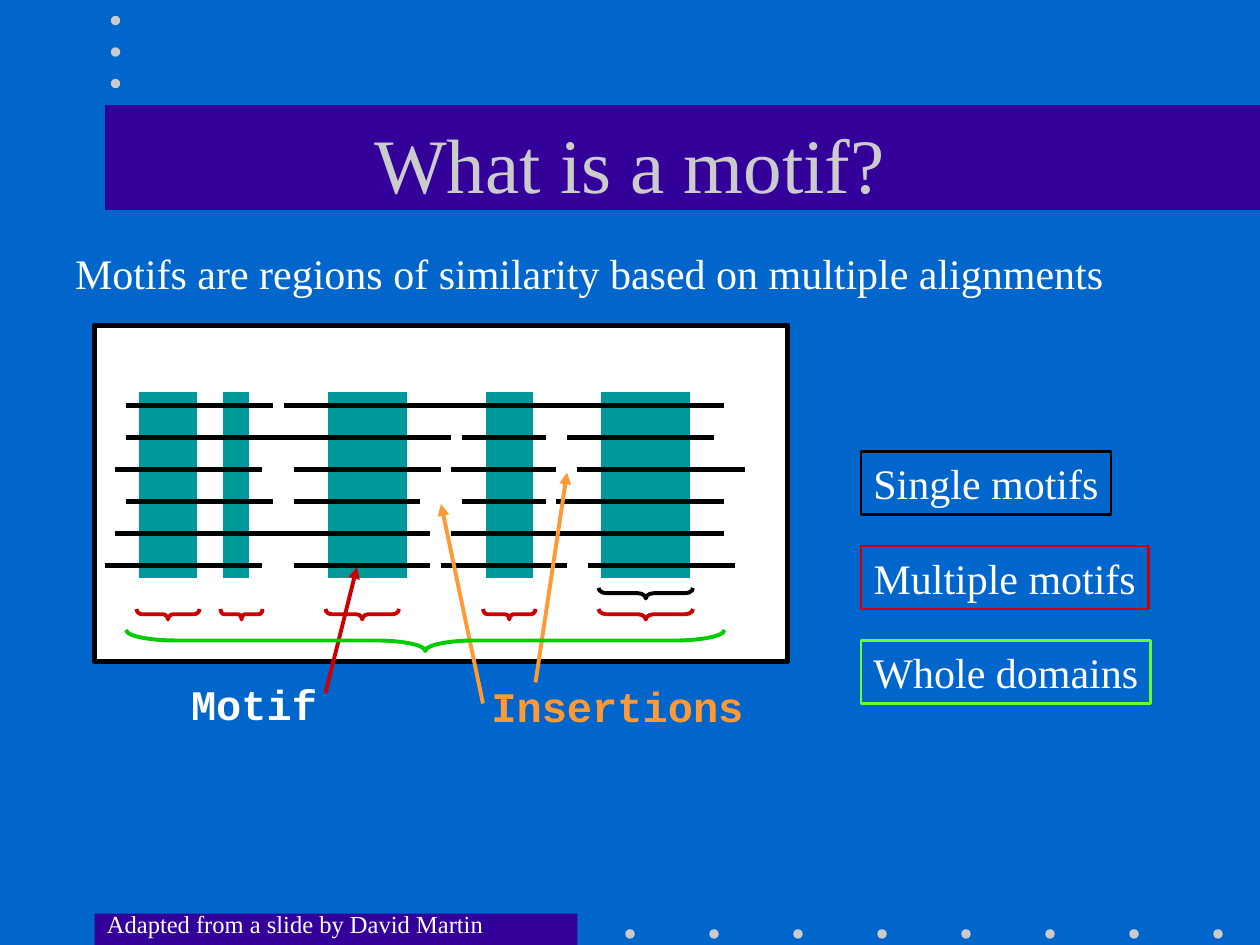
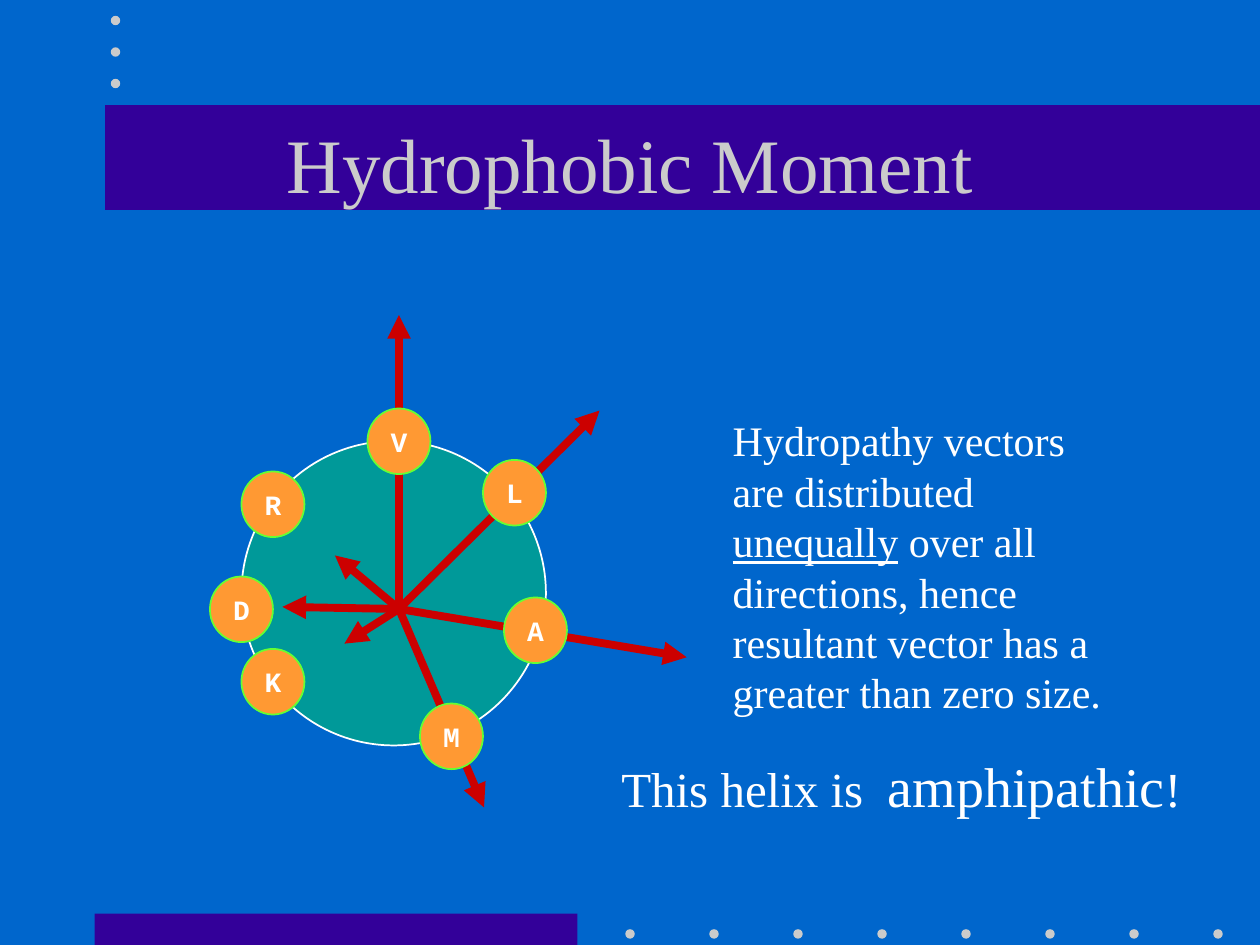
from lxml.etree import SubElement as add_node
from pptx import Presentation
from pptx.dml.color import RGBColor as Rgb
from pptx.enum.shapes import MSO_CONNECTOR as Link, MSO_SHAPE as Form
from pptx.enum.text import MSO_ANCHOR as Anchor, MSO_AUTO_SIZE as Fit, PP_ALIGN as Align
from pptx.oxml.ns import qn
from pptx.util import Cm, Pt

BLUE, PURPLE, GREY, TEAL = "0066CC", "330099", "CBCBCB", "009999"
WHITE, BLACK, RED, ORANGE = "FFFFFF", "000000", "CC0000", "FF9933"
GREEN, LIME = "00CC00", "66FF33"
SERIF, MONO = "Times New Roman", "Courier New"


def hue(code):
    return Rgb.from_string(code)


def cells(*counts):
    return [Cm(count * 2.54 / 12) for count in counts]


def write(shape, parts, size=24, font=SERIF, color=WHITE, bold=False,
          align=Align.LEFT, anchor=Anchor.TOP, wrap=True, side=0.25):
    frame = shape.text_frame
    frame.word_wrap = wrap
    frame.auto_size = Fit.NONE
    frame.vertical_anchor = anchor
    frame.margin_left = frame.margin_right = Cm(side)
    frame.margin_top = frame.margin_bottom = Cm(0.13)
    para = frame.paragraphs[0]
    para.alignment = align
    for words, extra in [(parts, {})] if isinstance(parts, str) else parts:
        run = para.add_run()
        run.text = words
        face = run.font
        face.name, face.bold = font, bold
        face.size = Pt(extra.get("size", size))
        face.underline = extra.get("under", False)
        face.color.rgb = hue(color)


class Deck:
    """Holds the shared style and the current slide, on a grid of 12 cells to 2.54 cm."""

    def __init__(self):
        self.show = Presentation()
        self.show.slide_width, self.show.slide_height = Cm(25.4), Cm(19.05)
        self.slide = None
        back = self.show.slide_master.background.fill
        back.solid()
        back.fore_color.rgb = hue(BLUE)

    def page(self, title):
        first = self.slide is None
        self.slide = self.show.slides.add_slide(self.show.slide_layouts[5])
        if first:
            self.dress()
        head = self.slide.shapes.title
        head.left, head.top, head.width, head.height = cells(9, 8, 102, 15)
        write(head, title, size=44, color=GREY, align=Align.CENTER, anchor=Anchor.MIDDLE)

    def dress(self):
        bars = [(9, 87, 46, 3), (10, 10, 110, 10)]
        dots = [(59.55 + 8 * i, 88.5) for i in range(8)]
        dots += [(10.55, 1.5 + 3 * i) for i in range(3)]
        parts = [self.shape(Form.RECTANGLE, bar, PURPLE) for bar in bars]
        parts += [self.shape(Form.OVAL, (*dot, 0.9, 0.9), GREY) for dot in dots]
        tree = self.show.slide_master.element.cSld.spTree
        for place, part in enumerate(parts, 2):
            tree.insert(place, part.element)

    def shape(self, form, box, fill=None, line=None, width=1):
        shape = self.slide.shapes.add_shape(form, *cells(*box))
        shape.shadow.inherit = False
        if fill:
            shape.fill.solid()
            shape.fill.fore_color.rgb = hue(fill)
        else:
            shape.fill.background()
        if line:
            shape.line.color.rgb = hue(line)
            shape.line.width = Pt(width)
        else:
            shape.line.fill.background()
        return shape

    def note(self, box, parts, **style):
        write(self.slide.shapes.add_textbox(*cells(*box)), parts, **style)

    def line(self, start, end, color=BLACK, width=3.0, arrow=False):
        link = self.slide.shapes.add_connector(Link.STRAIGHT, *cells(*start, *end))
        link.line.color.rgb = hue(color)
        link.line.width = Pt(width)
        if arrow:
            add_node(link.line._get_or_add_ln(), qn("a:tailEnd"), type="triangle")
        add_node(link.element.spPr, qn("a:effectLst"))

    def brace(self, left, right, top, color, depth=1):
        span = right - left
        box = ((left + right - depth) / 2, top + (depth - span) / 2, depth, span)
        brace = self.shape(Form.RIGHT_BRACE, box, line=color, width=2.25)
        brace.rotation = 90
        brace.adjustments[0] = span / 12 / depth

    def save(self):
        self.show.save("out.pptx")


def motif(deck):
    deck.page("What is a motif?")
    deck.shape(Form.RECTANGLE, (9, 31, 66, 32), WHITE, BLACK, 3)
    for left, width in [(13, 6), (21, 3), (31, 8), (46, 5), (57, 9)]:
        deck.shape(Form.RECTANGLE, (left, 37.1, width, 18.2), TEAL, WHITE, 3)

    rows = [
        [(12, 26), (27, 43), (43, 55), (55, 69)],
        [(12, 28), (28, 43), (44, 52), (54, 68)],
        [(11, 25), (28, 42), (43, 53), (55, 71)],
        [(12, 26), (28, 40), (44, 52), (53, 69)],
        [(11, 27), (27, 41), (43, 57), (55, 69)],
        [(10, 25), (28, 41), (42, 54), (56, 70)],
    ]
    for i, row in enumerate(rows):
        level = 38.6 + 3.05 * i
        for start, end in row:
            deck.line((start, level), (end, level))

    for start, end, color in [((46, 67), (42, 48), ORANGE),
                              ((51, 65), (54, 45), ORANGE),
                              ((31, 66), (34, 54), RED)]:
        deck.line(start, end, color, 2.25, arrow=True)
    mid = dict(align=Align.CENTER, anchor=Anchor.MIDDLE, wrap=False)
    deck.note((45.6, 64.2, 26.4, 6), "Insertions", font=MONO, color=ORANGE, bold=True, **mid)
    deck.note((17, 64, 14.4, 6), "Motif", font=MONO, bold=True, **mid)
    deck.note((6, 23, 100.3, 6),
              "Motifs are regions of similarity based on multiple alignments", **mid)

    deck.brace(57, 66, 56, BLACK)
    for left, right in [(13, 19), (21, 25), (31, 38), (46, 51), (57, 66)]:
        deck.brace(left, right, 58, RED)
    deck.brace(12, 69, 60, GREEN, depth=2)

    keys = [("Single motifs", 23.8, BLACK), ("Multiple motifs", 27.4, RED),
            ("Whole domains", 27.6, LIME)]
    for i, (name, width, color) in enumerate(keys):
        key = deck.shape(Form.RECTANGLE, (82, 43 + 9 * i, width, 6), line=color, width=1.5)
        write(key, name, **mid)
    deck.note((9, 86, 38.3, 4), "Adapted from a slide by David Martin", size=14, wrap=False)


def moment(deck):
    deck.page("Hydrophobic Moment")
    deck.shape(Form.OVAL, (23, 42, 29, 29), TEAL, WHITE)
    hub = (38, 58)
    for tip in [(38, 30), (65.4, 62.6), (31.9, 52.9), (32.8, 61.3),
                (46.1, 76.9), (57.1, 39.1), (26.9, 57.8)]:
        deck.line(hub, tip, RED, 4.5, arrow=True)
    deck.note((68.6, 38.9, 38.8, 30), [
        ("Hydropathy vectors are distributed ", {}),
        ("unequally", {"under": True}),
        (" over all directions, hence resultant vector has a greater than zero size.", {}),
    ])
    deck.note((58, 71, 56.9, 7.7), [
        ("This helix is  ", {}), ("amphipathic", {"size": 32}), ("!", {}),
    ], size=28)
    for name, left, top in [("R", 23, 44.9), ("D", 20, 54.9), ("K", 23, 61.8),
                            ("M", 40, 67), ("A", 48, 56.9), ("L", 46, 43.8),
                            ("V", 35, 38.9)]:
        bead = deck.shape(Form.OVAL, (left, top, 6, 6.25), ORANGE, LIME)
        write(bead, name, size=16, font=MONO, bold=True, side=0,
              align=Align.CENTER, anchor=Anchor.MIDDLE)


def main():
    deck = Deck()
    motif(deck)
    moment(deck)
    deck.save()


if __name__ == "__main__":
    main()
